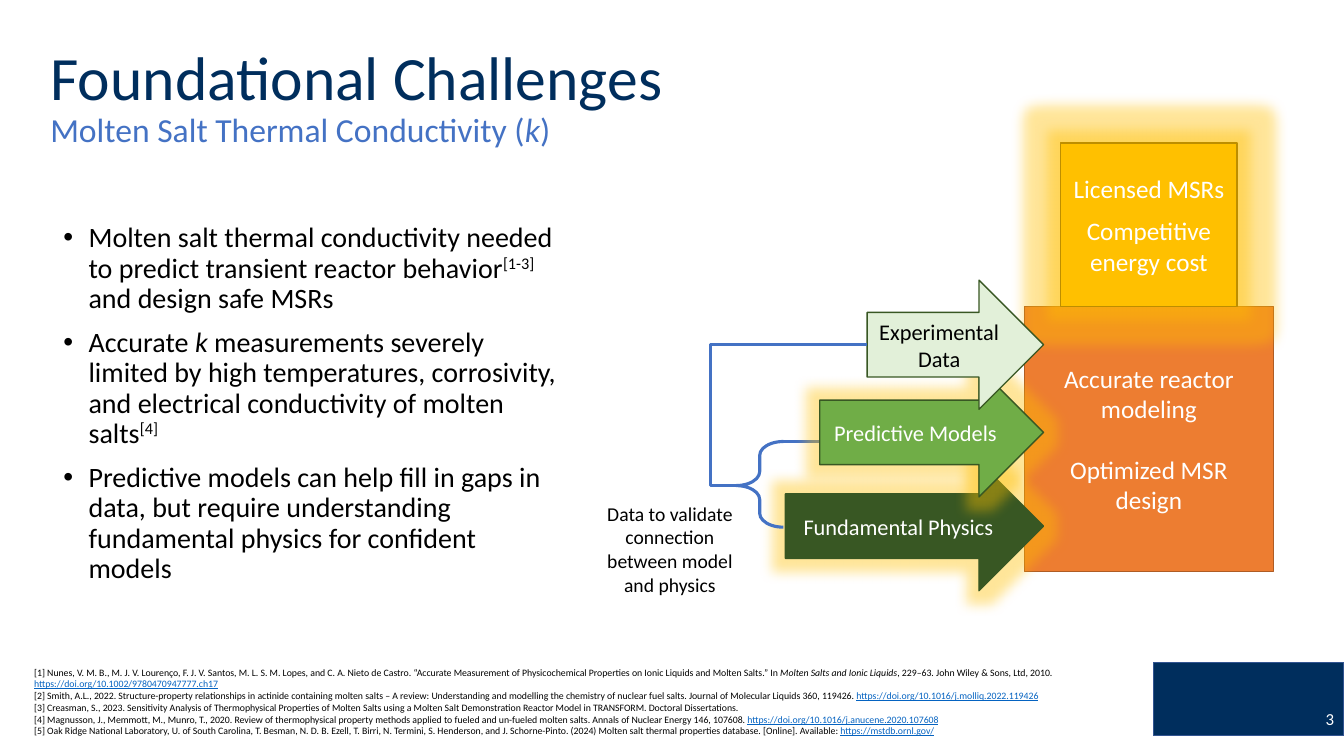
from lxml import etree
from pptx import Presentation
from pptx.dml.color import RGBColor
from pptx.enum.shapes import MSO_CONNECTOR as Connector, MSO_SHAPE as Shape
from pptx.enum.text import MSO_ANCHOR as Anchor, PP_ALIGN as Align
from pptx.oxml.ns import qn
from pptx.util import Inches, Pt

FONT = "Calibri"
COLORS = {
    "navy": "002E5D", "navy_edge": "325491", "blue": "4472C4", "link": "0563C1",
    "black": "000000", "white": "FFFFFF", "orange": "ED7D31", "orange_edge": "AF5C24",
    "gold": "FFC000", "gold_edge": "BD8E00", "forest": "385723", "green": "70AD47",
    "mint": "E2F0D9",
}

BULLETS = [
    [("Molten salt thermal conductivity needed to predict transient reactor behavior", ""),
     ("[1-3]", "super"), (" and design safe MSRs", "")],
    [("Accurate ", ""), ("k", "italic"),
     (" measurements severely limited by high temperatures, corrosivity, and electrical "
      "conductivity of molten salts", ""), ("[4]", "super")],
    [("Predictive models can help fill in gaps in data, but require understanding "
      "fundamental physics for confident models", "")],
]
REFERENCES = [
    [("[1] Nunes, V. M. B., M. J. V. Lourenço, F. J. V. Santos, M. L. S. M. Lopes, and "
      "C. A. Nieto de Castro. “Accurate Measurement of Physicochemical Properties on Ionic "
      "Liquids and Molten Salts.” In ", ""),
     ("Molten Salts and Ionic Liquids", "italic"),
     (", 229–63. John Wiley & Sons, Ltd, 2010. ", ""),
     ("https://doi.org/10.1002/9780470947777.ch17", "link")],
    [("[2] Smith, A.L., 2022. Structure-property relationships in actinide containing molten "
      "salts – A review: Understanding and modelling the chemistry of nuclear fuel salts. "
      "Journal of Molecular Liquids 360, 119426. ", ""),
     ("https://doi.org/10.1016/j.molliq.2022.119426", "link")],
    [("[3] Creasman, S., 2023. Sensitivity Analysis of Thermophysical Properties of Molten "
      "Salts using a Molten Salt Demonstration Reactor Model in TRANSFORM. Doctoral "
      "Dissertations.", "")],
    [("[4] Magnusson, J., Memmott, M., Munro, T., 2020. Review of thermophysical property "
      "methods applied to fueled and un-fueled molten salts. Annals of Nuclear Energy 146, "
      "107608. ", ""),
     ("https://doi.org/10.1016/j.anucene.2020.107608", "link")],
    [("[5] Oak Ridge National Laboratory, U. of South Carolina, T. Besman, N. D. B. Ezell, "
      "T. Birri, N. Termini, S. Henderson, and J. Schorne-Pinto. (2024) Molten salt thermal "
      "properties database. [Online]. Available: ", ""),
     ("https://mstdb.ornl.gov/", "link")],
]


def rgb(name):
    return RGBColor.from_string(COLORS[name])


def inches(box):
    return [Inches(value) for value in box]


def add_bullet(paragraph):
    props = paragraph._p.get_or_add_pPr()
    props.set("marL", str(Inches(0.25)))
    props.set("indent", str(-Inches(0.25)))
    etree.SubElement(props, qn("a:buFont"), typeface="Arial")
    etree.SubElement(props, qn("a:buChar"), char="•")


def write(frame, paragraphs, size, color, align=Align.LEFT, anchor=Anchor.MIDDLE,
          gap=0, spacing=None, bulleted=False):
    """Fill a text frame; each paragraph is a list of (text, style) runs."""
    frame.word_wrap = True
    frame.vertical_anchor = anchor
    for index, runs in enumerate(paragraphs):
        paragraph = frame.add_paragraph() if index else frame.paragraphs[0]
        if bulleted:
            add_bullet(paragraph)
        paragraph.alignment = align
        paragraph.space_before = Pt(gap if index else 0)
        if spacing:
            paragraph.line_spacing = spacing
        for text, style in runs:
            run = paragraph.add_run()
            run.text = text
            font = run.font
            font.name, font.size = FONT, Pt(size)
            font.color.rgb = rgb("link" if style == "link" else color)
            if style == "italic":
                font.italic = True
            elif style == "link":
                font.underline = True
            elif style == "super":
                font._element.set("baseline", "30000")


def add_text(slide, box, paragraphs, size, color, **options):
    frame = slide.shapes.add_textbox(*inches(box)).text_frame
    write(frame, paragraphs, size, color, **options)


def add_glow(shape):
    effects = shape._element.spPr.find(qn("a:effectLst"))
    glow = etree.SubElement(effects, qn("a:glow"), rad=str(Inches(0.25)))
    tint = etree.SubElement(glow, qn("a:srgbClr"), val=COLORS["gold"])
    etree.SubElement(tint, qn("a:alpha"), val="40000")


def add_block(slide, kind, box, fill, edge, lines=(), size=18, color="white",
              gap=0, glow=False):
    block = slide.shapes.add_shape(kind, *inches(box))
    block.shadow.inherit = False
    block.fill.solid()
    block.fill.fore_color.rgb = rgb(fill)
    block.line.color.rgb = rgb(edge)
    block.line.width = Pt(1)
    if lines:
        write(block.text_frame, [[(line, "")] for line in lines], size, color,
              align=Align.CENTER, gap=gap)
    if glow:
        add_glow(block)


def add_link_line(slide, kind, start, end):
    line = slide.shapes.add_connector(kind, *inches(start + end))
    line.line.color.rgb = rgb("blue")
    line.line.width = Pt(2.25)
    etree.SubElement(line._element.spPr, qn("a:effectLst"))
    return line


def heading(slide, left, top):
    title = slide.shapes.title
    title.left, title.top, title.width, title.height = inches((left, top, 6.73, 1))
    write(title.text_frame, [[("Foundational Challenges", "")]], 44, "navy", spacing=0.9)
    subtitle = [("Molten Salt Thermal Conductivity (", ""), ("k", "italic"), (")", "")]
    add_text(slide, (left, top + 0.71, 5.99, 0.59), [subtitle], 24, "blue", spacing=0.9)


def footer(slide, left, top):
    add_block(slide, Shape.RECTANGLE, (left, top, 1.89, 0.73), "navy", "navy_edge")
    add_text(slide, (left - 1.11, top + 0.36, 3, 0.4), [[("3", "")]], 12, "white",
             align=Align.RIGHT)


def diagram(slide, left, top):
    tip = left + 4.49          # shared x of the arrow tips
    arrow_height = 1.28
    brace_x, brace_top = left + 1.44, top + 2.96
    brace_width, brace_height, brace_point = 0.47, 0.85, 0.515

    # Line from the brace to the predictive models
    brace_right = brace_x + brace_width
    add_link_line(slide, Connector.STRAIGHT, (brace_right, brace_top),
                  (brace_right + 1.67, brace_top))

    # Outcome blocks
    add_block(slide, Shape.RECTANGLE, (left + 4.3, top + 1.62, 2.47, 2.63), "orange",
              "orange_edge", ["Accurate reactor modeling", "Optimized MSR design"], gap=22)
    add_block(slide, Shape.RECTANGLE, (left + 4.66, top, 1.75, 1.62), "gold", "gold_edge",
              ["Licensed MSRs", "Competitive energy cost"], gap=8.5, glow=True)

    # Arrows, from the lowest layer up
    arrows = [
        ("Fundamental Physics", 3.16, 2.56, "forest", "white", True),
        ("Predictive Models", 2.23, 2.22, "green", "white", True),
        ("Experimental Data", 1.36, 1.75, "mint", "black", False),
    ]
    for label, offset, width, fill, color, glow in arrows:
        add_block(slide, Shape.RIGHT_ARROW, (tip - width, top + offset, width, arrow_height),
                  fill, "forest", [label], size=16, color=color, glow=glow)

    # Brace joining models and physics
    brace = slide.shapes.add_shape(
        Shape.LEFT_BRACE, *inches((brace_x, brace_top, brace_width, brace_height)))
    brace.shadow.inherit = False
    brace.fill.background()
    brace.line.color.rgb = rgb("blue")
    brace.line.width = Pt(2.25)
    brace.adjustments[0], brace.adjustments[1] = 0.294, brace_point

    add_text(slide, (left, top + 3.51, 1.57, 1.04),
             [[("Data to validate connection between model and physics", "")]], 14, "black",
             align=Align.CENTER, anchor=Anchor.TOP)

    # Elbow from the experimental data back to the brace
    elbow = add_link_line(slide, Connector.ELBOW, (tip - 1.75, top + 2),
                          (brace_x, brace_top + brace_height * brace_point))
    guides = elbow._element.spPr.find(qn("a:prstGeom")).find(qn("a:avLst"))
    etree.SubElement(guides, qn("a:gd"), name="adj1", fmla="val 119300")


def main():
    deck = Presentation()
    deck.slide_width, deck.slide_height = Inches(13.33), Inches(7.5)
    slide = deck.slides.add_slide(deck.slide_layouts[5])
    heading(slide, 0.4, 0.3)
    add_text(slide, (0.24, 6.56, 11.16, 0.8), REFERENCES, 7, "black", anchor=Anchor.BOTTOM)
    diagram(slide, 5.86, 1.42)
    add_text(slide, (0.53, 2.17, 5.11, 4.24), BULLETS, 20, "black", anchor=Anchor.TOP,
             gap=10, spacing=0.9, bulleted=True)
    footer(slide, 11.44, 6.57)
    deck.save("out.pptx")


if __name__ == "__main__":
    main()
